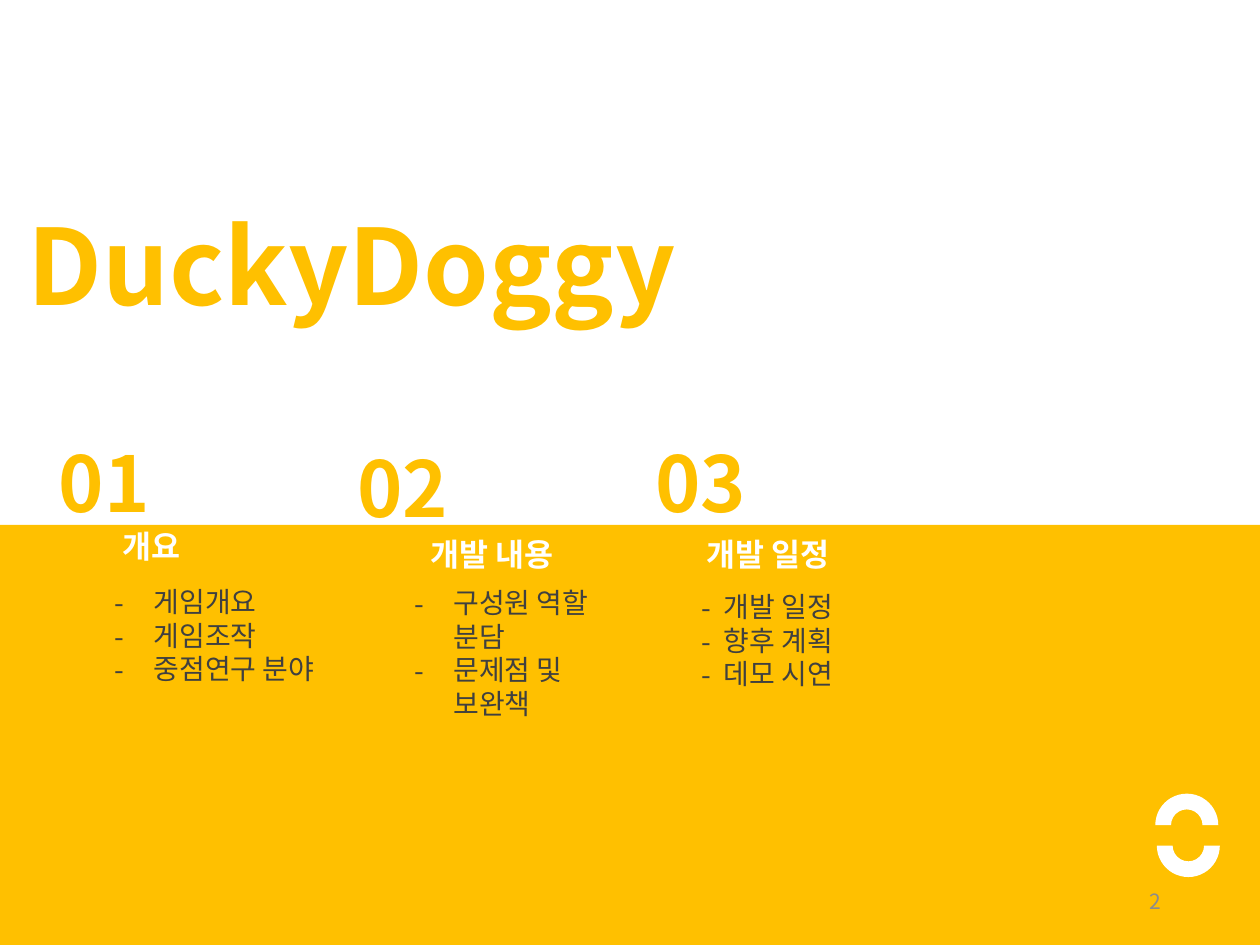
from lxml.etree import SubElement
from pptx import Presentation
from pptx.dml.color import RGBColor
from pptx.enum.shapes import MSO_SHAPE
from pptx.enum.text import MSO_ANCHOR, MSO_AUTO_SIZE, PP_ALIGN
from pptx.oxml.ns import qn
from pptx.util import Cm, Pt

FONT = "Noto Sans CJK KR"
YELLOW, WHITE, DARK, GREY = "FFC000", "FFFFFF", "404040", "8C8C8C"
NUMBER_LEFT, NUMBER_PITCH = 0.94, 6.01

# number top, heading and its box, list items with their box and hanging indent
SECTIONS = [
    (8.66, "개요", (1.14, 10.49, 3.81, 1.02),
     ["게임개요", "게임조작", "중점연구 분야"], (2.06, 11.66, 5.05, 2.31), 0.79),
    (8.76, "개발 내용", (7.14, 10.67, 5.56, 1.02),
     ["구성원 역할 분담", "문제점 및 보완책"], (8.1, 11.68, 4.47, 3), 0.79),
    (8.66, "개발 일정", (12.7, 10.67, 5.56, 1.02),
     ["개발 일정", "향후 계획", "데모 시연"], (13.89, 11.76, 5.05, 2.31), 0.45),
]


def rgb(value):
    return RGBColor.from_string(value)


def place(sp, box):
    sp.left, sp.top, sp.width, sp.height = (Cm(v) for v in box)


def add_run(p, text, size, color, bold=False):
    r = p.add_run()
    r.text = text
    font = r.font
    font.size, font.bold, font.name = Pt(size), bold, FONT
    font.color.rgb = rgb(color)
    SubElement(font._element, qn("a:ea")).set("typeface", FONT)


def set_frame(sp, anchor=MSO_ANCHOR.TOP):
    tf = sp.text_frame
    tf.word_wrap = True
    tf.auto_size = MSO_AUTO_SIZE.NONE
    tf.vertical_anchor = anchor
    return tf


def add_label(slide, box, text, size, color, bold=True,
              align=PP_ALIGN.LEFT, anchor=MSO_ANCHOR.TOP):
    sp = slide.shapes.add_textbox(*(Cm(v) for v in box))
    p = set_frame(sp, anchor).paragraphs[0]
    p.alignment = align
    add_run(p, text, size, color, bold)


def add_shape(slide, kind, box, color):
    sp = slide.shapes.add_shape(kind, *(Cm(v) for v in box))
    sp.fill.solid()
    sp.fill.fore_color.rgb = rgb(color)
    sp.line.fill.background()
    sp.shadow.inherit = False
    return sp


def fill_title(sp, box, text):
    place(sp, box)
    p = set_frame(sp).paragraphs[0]
    p.alignment = PP_ALIGN.LEFT
    add_run(p, text, 60, YELLOW, True)


def set_dash(p, indent):
    """Give the paragraph a dash bullet with a hanging indent in cm."""
    pPr = p._p.get_or_add_pPr()
    pPr.set("marL", str(Cm(indent)))
    pPr.set("indent", str(-Cm(indent)))
    SubElement(pPr, qn("a:buFont")).set("typeface", FONT)
    SubElement(pPr, qn("a:buChar")).set("char", "-")


def fill_list(sp, box, items, indent):
    place(sp, box)
    tf = set_frame(sp)
    for i, item in enumerate(items):
        p = tf.add_paragraph() if i else tf.paragraphs[0]
        p.space_before = Pt(0)
        set_dash(p, indent)
        add_run(p, item, 16, DARK)


def main():
    prs = Presentation()
    prs.slide_width, prs.slide_height = Cm(25.4), Cm(19.05)
    slide = prs.slides.add_slide(prs.slide_layouts.get_by_name("Comparison"))
    title, *bodies = slide.placeholders

    band = add_shape(slide, MSO_SHAPE.RECTANGLE, (0, 10.58, 25.4, 8.47), YELLOW)
    title.element.addprevious(band.element)  # behind the placeholders

    fill_title(title, (0.3, 3.91, 13.59, 2.82), "DuckyDoggy")
    for i, (top, heading, heading_box, items, list_box, indent) in enumerate(SECTIONS):
        number_box = (NUMBER_LEFT + i * NUMBER_PITCH, top, 3.68, 2.13)
        add_label(slide, number_box, f"{i + 1:02}", 44, YELLOW)
        add_label(slide, heading_box, heading, 18, WHITE, align=PP_ALIGN.CENTER)
        fill_list(bodies[i], list_box, items, indent)
    for unused in bodies[len(SECTIONS):]:
        unused.element.getparent().remove(unused.element)

    add_shape(slide, MSO_SHAPE.BLOCK_ARC, (23.29, 16, 1.27, 1.27), WHITE)
    lower_arc = add_shape(slide, MSO_SHAPE.BLOCK_ARC, (23.32, 16.41, 1.27, 1.27), WHITE)
    lower_arc.rotation = 180
    add_label(slide, (17.93, 17.65, 5.72, 1.02), "2", 12, GREY, bold=False,
              align=PP_ALIGN.RIGHT, anchor=MSO_ANCHOR.MIDDLE)

    prs.save("out.pptx")


if __name__ == "__main__":
    main()
